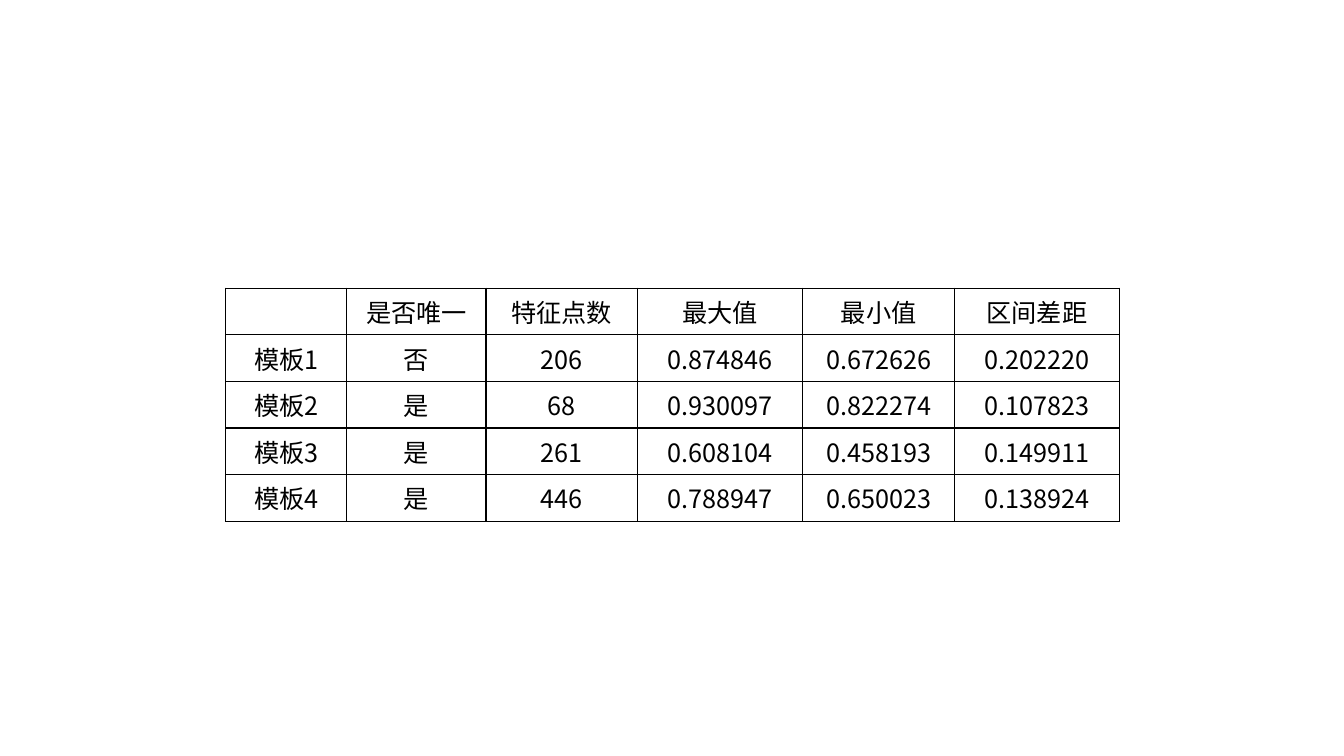
from typing import NamedTuple

from lxml import etree
from pptx import Presentation
from pptx.dml.color import RGBColor
from pptx.enum.text import MSO_ANCHOR, PP_ALIGN
from pptx.oxml.ns import qn
from pptx.table import Table, _Cell
from pptx.util import Inches, Pt

BLACK = RGBColor(0, 0, 0)
CENTER = PP_ALIGN.CENTER
MIDDLE = MSO_ANCHOR.MIDDLE
BLANK = 6
FACE = "Noto Sans CJK SC"
FONT = {"name": FACE, "size": Pt(18), "bold": False}
PLAIN = {"first_row": False, "horz_banding": False}
RULE = Pt(1)
LEFT, TOP, HIGH = 2.24, 2.86, 0.41
WIDTHS = (1.2, 1.38, 1.5, 1.64, 1.51, 1.63)


class Row(NamedTuple):
    name: str
    sole: str
    count: str
    high: str
    low: str
    gap: str


ROWS = (
    Row("", "是否唯一", "特征点数", "最大值", "最小值", "区间差距"),
    Row("模板1", "否", "206", "0.874846", "0.672626", "0.202220"),
    Row("模板2", "是", "68", "0.930097", "0.822274", "0.107823"),
    Row("模板3", "是", "261", "0.608104", "0.458193", "0.149911"),
    Row("模板4", "是", "446", "0.788947", "0.650023", "0.138924"),
)


def frame(cell: _Cell) -> None:
    """Draw a solid black rule on all four sides of a cell."""
    props = cell._tc.get_or_add_tcPr()
    for side in ("lnL", "lnR", "lnT", "lnB"):
        line = etree.SubElement(props, qn(f"a:{side}"), w=str(RULE))
        fill = etree.SubElement(line, qn("a:solidFill"))
        etree.SubElement(fill, qn("a:srgbClr"), val=str(BLACK))


def write(cell: _Cell, text: str) -> None:
    cell.vertical_anchor = MIDDLE
    para = cell.text_frame.paragraphs[0]
    para.alignment = CENTER
    if not text:
        return
    run = para.add_run()
    run.text = text
    for key, value in FONT.items():
        setattr(run.font, key, value)
    run.font.color.rgb = BLACK
    etree.SubElement(run._r.get_or_add_rPr(), qn("a:ea"), typeface=FACE)


def fill_grid(grid: Table) -> None:
    for key, value in PLAIN.items():
        setattr(grid, key, value)
    for col, width in zip(grid.columns, WIDTHS):
        col.width = Inches(width)
    for line, row in zip(grid.rows, ROWS):
        line.height = Inches(HIGH)
        for cell, text in zip(line.cells, row):
            frame(cell)
            cell.fill.background()
            write(cell, text)


def main() -> None:
    deck = Presentation()
    deck.slide_width = Inches(13.33)
    deck.slide_height = Inches(7.5)
    slide = deck.slides.add_slide(deck.slide_layouts[BLANK])
    shape = slide.shapes.add_table(
        len(ROWS), len(WIDTHS), Inches(LEFT), Inches(TOP),
        Inches(sum(WIDTHS)), Inches(HIGH * len(ROWS)))
    fill_grid(shape.table)
    deck.save("out.pptx")


if __name__ == "__main__":
    main()
